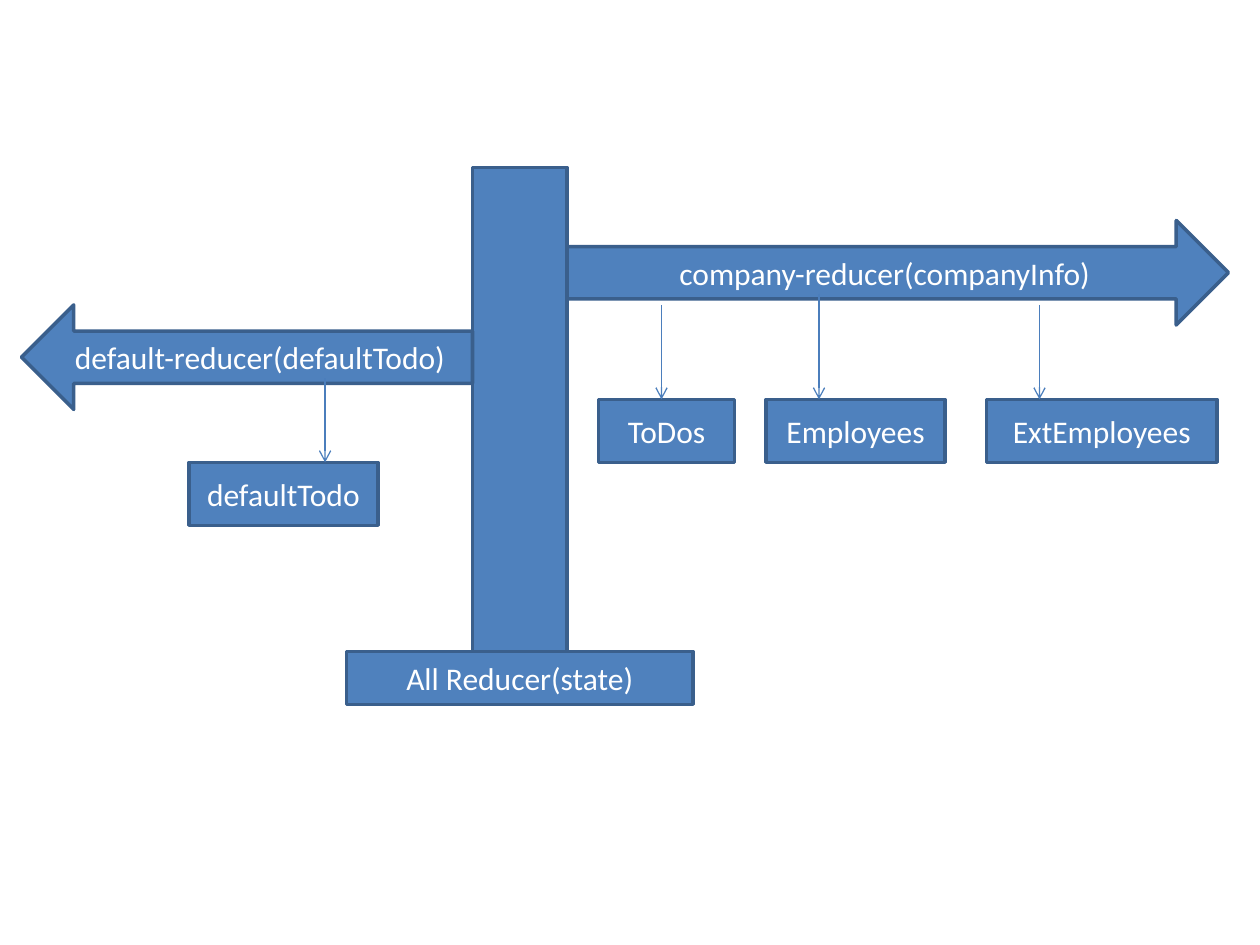
from pptx import Presentation
from pptx.dml.color import RGBColor
from pptx.enum.shapes import MSO_CONNECTOR, MSO_SHAPE
from pptx.enum.text import MSO_ANCHOR, PP_ALIGN
from pptx.oxml.ns import qn
from pptx.util import Inches, Pt
from lxml.etree import SubElement

BLUE = RGBColor(0x4F, 0x81, 0xBD)
DARK_BLUE = RGBColor(0x3A, 0x5F, 0x8C)
ARROW_BLUE = RGBColor(0x4B, 0x7E, 0xBC)
WHITE = RGBColor(0xFF, 0xFF, 0xFF)

SLICE_HEIGHT = 0.5


def write_text(shape, text, size=18, font="Calibri", color=WHITE, align=PP_ALIGN.CENTER):
    frame = shape.text_frame
    frame.word_wrap = True
    frame.vertical_anchor = MSO_ANCHOR.MIDDLE
    paragraph = frame.paragraphs[0]
    paragraph.alignment = align
    run = paragraph.add_run()
    run.text = text
    run.font.size = Pt(size)
    run.font.name = font
    run.font.color.rgb = color


def add_block(slide, box, text=None, kind=MSO_SHAPE.RECTANGLE):
    shape = slide.shapes.add_shape(kind, *map(Inches, box))
    shape.shadow.inherit = False
    shape.fill.solid()
    shape.fill.fore_color.rgb = BLUE
    shape.line.color.rgb = DARK_BLUE
    shape.line.width = Pt(2)
    if text:
        write_text(shape, text)


def add_down_arrow(slide, x, top, bottom):
    connector = slide.shapes.add_connector(
        MSO_CONNECTOR.STRAIGHT, Inches(x), Inches(top), Inches(x), Inches(bottom))
    connector.line.color.rgb = ARROW_BLUE
    connector.line.width = Pt(0.75)
    SubElement(connector.line._get_or_add_ln(), qn("a:tailEnd"), type="arrow")
    SubElement(connector._element.spPr, qn("a:effectLst"))


def draw_trunk(slide, box, trunk_width, base_height):
    """Draw a column standing centred on the labelled base of the box."""
    left, top, width, height = box
    column_height = height - base_height
    add_block(slide, (left + (width - trunk_width) / 2, top, trunk_width, column_height))
    add_block(slide, (left, top + column_height, width, base_height), "All Reducer(state)")


def draw_branch(slide, box, text, kind, slice_drop, slices):
    """Draw a reducer arrow and its state slices.

    slice_drop runs from the top of the box to the slices. Each slice is
    (name, left, width, arrow x, arrow top), offset from the box's corner.
    """
    left, top = box[:2]
    add_block(slide, box, text, kind)
    slice_top = top + slice_drop
    for name, slice_left, width, arrow_x, arrow_top in slices:
        add_block(slide, (left + slice_left, slice_top, width, SLICE_HEIGHT), name)
        add_down_arrow(slide, left + arrow_x, top + arrow_top, slice_top)


def main():
    presentation = Presentation()
    presentation.slide_width = Inches(10)
    presentation.slide_height = Inches(7.5)
    slide = presentation.slides.add_slide(presentation.slide_layouts[6])

    draw_trunk(slide, (2.75, 1.33, 2.75, 4.26), trunk_width=0.75, base_height=0.42)
    draw_branch(
        slide, (4.5, 1.75, 5.25, 0.83), "company-reducer(companyInfo)",
        MSO_SHAPE.RIGHT_ARROW, 1.42,
        [("ToDos", 0.25, 1.08, 0.75, 0.67),
         ("Employees", 1.58, 1.42, 2, 0.58),
         ("ExtEmployees", 3.33, 1.83, 3.75, 0.67)])
    draw_branch(
        slide, (0.17, 2.42, 3.58, 0.83), "default-reducer(defaultTodo)",
        MSO_SHAPE.LEFT_ARROW, 1.25,
        [("defaultTodo", 1.33, 1.5, 2.41, 0.58)])

    presentation.save("out.pptx")


if __name__ == "__main__":
    main()
